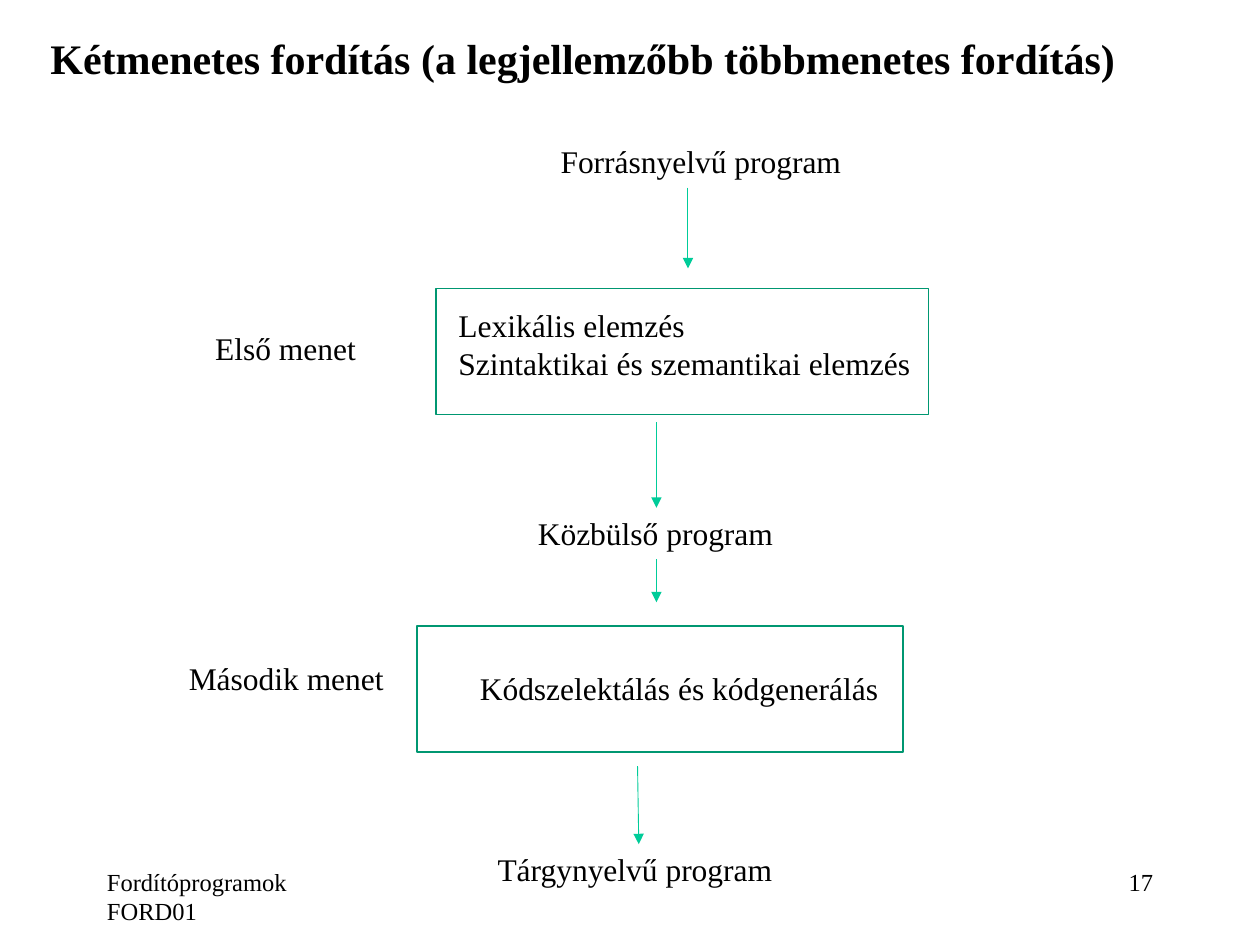
from pptx import Presentation
from pptx import util as u
from pptx.dml.color import RGBColor
from pptx.enum import shapes, text
from pptx.oxml.ns import qn
from lxml import etree

COLORS = {"ink": "000000", "frame": "009771", "arrow": "00CC99"}
FONT = "Times New Roman"
COLS, ROWS = 100, 75
WIDTH, HEIGHT = u.Inches(10), u.Inches(7.5)


def rgb(name):
    return RGBColor.from_string(COLORS[name])


def grid(col, row, cols, rows):
    cw, rh = WIDTH / COLS, HEIGHT / ROWS
    return [round(v) for v in (col * cw, row * rh, cols * cw, rows * rh)]


def write(sp, lines, size=18, bold=False, align=text.PP_ALIGN.LEFT, wrap=False):
    tf = sp.text_frame
    tf.word_wrap = wrap
    tf.auto_size = text.MSO_AUTO_SIZE.NONE
    tf.vertical_anchor = text.MSO_ANCHOR.TOP
    for i, line in enumerate(lines):
        p = tf.paragraphs[0] if i == 0 else tf.add_paragraph()
        p.alignment = align
        r = p.add_run()
        r.text = line
        r.font.name = FONT
        r.font.size = u.Pt(size)
        r.font.bold = bold
        r.font.color.rgb = rgb("ink")


def add_label(s, box, *lines, **fmt):
    write(s.shapes.add_textbox(*grid(*box)), lines, **fmt)


def add_title(s, box, title):
    sp = s.shapes.title
    sp.left, sp.top, sp.width, sp.height = grid(*box)
    write(sp, [title], size=24, bold=True, wrap=True)


def add_pass(s, box, name, name_at, steps, steps_at):
    x, y, _, _ = box
    sp = s.shapes.add_shape(shapes.MSO_SHAPE.RECTANGLE, *grid(*box))
    sp.shadow.inherit = False
    sp.fill.background()
    sp.line.color.rgb = rgb("frame")
    sp.line.width = u.Pt(1)
    for (dx, dy, w, h), lines in ((name_at, [name]), (steps_at, steps)):
        add_label(s, (x + dx, y + dy, w, h), *lines)


def add_arrow(s, box):
    x, y, w, h = grid(*box)
    c = s.shapes.add_connector(shapes.MSO_CONNECTOR.STRAIGHT, x, y, x + w, y + h)
    c.line.color.rgb = rgb("arrow")
    c.line.width = u.Pt(0.5)
    etree.SubElement(c.line._get_or_add_ln(), qn("a:tailEnd"), type="triangle")
    etree.SubElement(c._element.spPr, qn("a:effectLst"))


def add_footer(s, box, course, number):
    x, y, w, h = box
    part = 20.8
    add_label(s, (x, y, part, h), course, size=14, wrap=True)
    add_label(s, (x + w - part, y, part, h), number, size=14,
              align=text.PP_ALIGN.RIGHT, wrap=True)


def main():
    prs = Presentation()
    prs.slide_width, prs.slide_height = WIDTH, HEIGHT
    s = prs.slides.add_slide(prs.slide_layouts[5])

    add_title(s, (3, 2.1, 91.1, 5.1),
              "Kétmenetes fordítás (a legjellemzőbb többmenetes fordítás)")
    add_pass(s, (34.6, 22.9, 39.1, 10),
             "Első menet", (-18.5, 2.7, 13.3, 4),
             ["Lexikális elemzés", "Szintaktikai és szemantikai elemzés"],
             (0.8, 0.9, 38.3, 7.1))
    add_pass(s, (33.1, 49.7, 38.6, 10),
             "Második menet", (-19.1, 2.1, 17.7, 4),
             ["Kódszelektálás és kódgenerálás"], (4, 2.9, 34, 4))

    for box, name in (
        ((43.5, 10.8, 28.8, 4), "Forrásnyelvű program"),
        ((41.7, 40.3, 20.9, 4), "Közbülső program"),
        ((38.5, 67, 24.1, 4), "Tárgynyelvű program"),
    ):
        add_label(s, box, name)

    for box in ((54.6, 14.9, 0, 6.4), (52.1, 33.5, 0, 6.8),
                (52.1, 44.4, 0, 3.4), (50.6, 60.8, 0.1, 6.2)):
        add_arrow(s, box)

    add_footer(s, (7.5, 68.3, 85, 5), "Fordítóprogramok FORD01", "17")
    prs.save("out.pptx")


if __name__ == "__main__":
    main()
